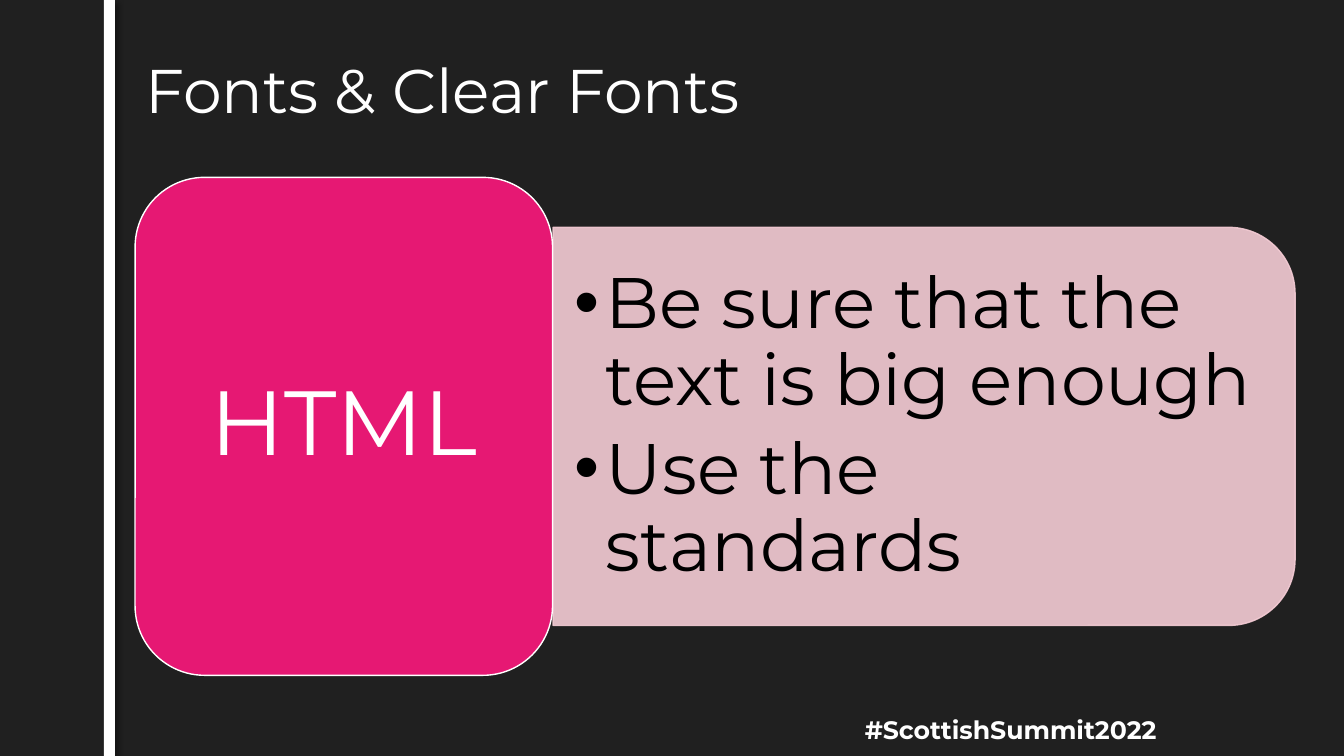
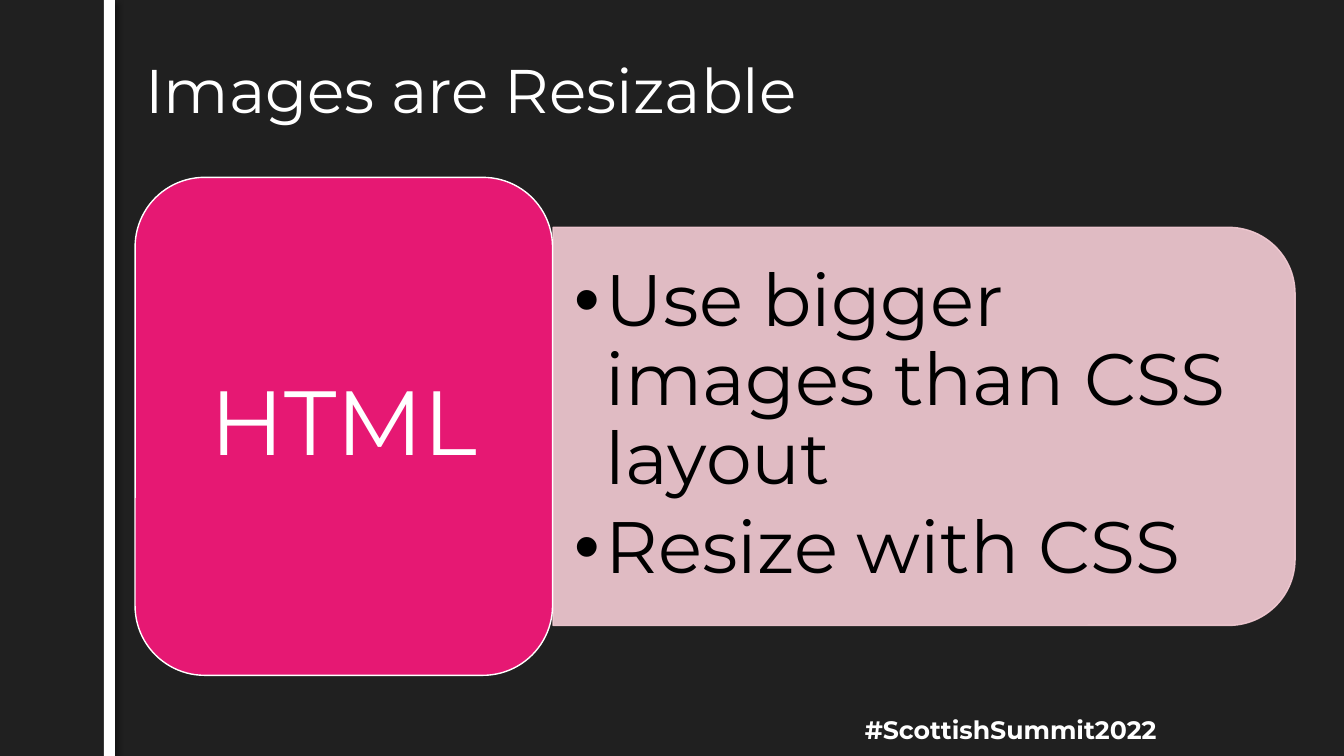
from pptx import Presentation
from pptx.dml.color import RGBColor
from pptx.enum import shapes, text
from pptx.oxml.ns import qn
from pptx.util import Inches, Pt
from lxml import etree

DARK = RGBColor(0x20, 0x20, 0x20)
WHITE = RGBColor(0xFF, 0xFF, 0xFF)
BLACK = RGBColor(0, 0, 0)
PINK = RGBColor(0xE6, 0x18, 0x73)
PALE_PINK = RGBColor(0xF5, 0xCC, 0xD5)

FONT = "Montserrat"
BULLET_FONT = "Arial"
LINE_SPACING = 0.9
HASHTAG = "#ScottishSummit2022"
TITLE_ONLY = 5

SLIDES = [
    ("Fonts & Clear Fonts", "HTML", 51,
     ["Be sure that the text is big enough", "Use the standards"]),
    ("Images are Resizable", "HTML", 52,
     ["Use bigger images than CSS layout", "Resize with CSS"]),
]


def inches(*lengths):
    return [Inches(length) for length in lengths]


def style(p, size, color, align=text.PP_ALIGN.LEFT, bold=False):
    p.alignment = align
    p.line_spacing = LINE_SPACING
    for r in p.runs:
        r.font.name = FONT
        r.font.size = Pt(size)
        r.font.bold = bold
        r.font.color.rgb = color


def set_insets(tf, side, top):
    tf.margin_left = tf.margin_right = Inches(side)
    tf.margin_top = tf.margin_bottom = Inches(top)


def add_box(s, kind, box, fill, line=None):
    sp = s.shapes.add_shape(kind, *inches(*box))
    sp.shadow.inherit = False
    sp.fill.solid()
    sp.fill.fore_color.rgb = fill
    if line is None:
        sp.line.fill.background()
    else:
        sp.line.color.rgb = line
        sp.line.width = Pt(1)
    return sp


def add_alpha(color, percent):
    etree.SubElement(color, qn("a:alpha"), val=str(percent * 1000))


def add_shadow(sp):
    effects = sp._element.spPr.find(qn("a:effectLst"))
    shadow = etree.SubElement(
        effects, qn("a:outerShdw"), blurRad=str(Pt(4)), dist=str(Pt(3)),
        dir=str(45 * 60000), algn="tl", rotWithShape="0")
    color = etree.SubElement(shadow, qn("a:srgbClr"), val=str(BLACK))
    add_alpha(color, 40)


def add_bullet(p, indent):
    pPr = p._p.get_or_add_pPr()
    pPr.set("marL", str(Inches(indent)))
    pPr.set("indent", str(Inches(-indent)))
    etree.SubElement(pPr, qn("a:buFont"), typeface=BULLET_FONT)
    etree.SubElement(pPr, qn("a:buChar"), char="•")


def add_frame(s):
    """Draw the side bar and the hashtag that every slide carries."""
    bar = add_box(s, shapes.MSO_SHAPE.RECTANGLE, (1.03, 0, 0.11, 7.5), WHITE)
    add_shadow(bar)
    tf = s.shapes.add_textbox(*inches(8.21, 7.04, 3.36, 0.4)).text_frame
    tf.word_wrap = True
    tf.text = HASHTAG
    p = tf.paragraphs[0]
    style(p, 18, WHITE, text.PP_ALIGN.RIGHT, bold=True)
    p.line_spacing = 1.0


def set_title(s, title):
    sp = s.shapes.title
    sp.left, sp.top, sp.width, sp.height = inches(1.34, 0.2, 11.5, 1.45)
    tf = sp.text_frame
    tf.text = title
    tf.auto_size = text.MSO_AUTO_SIZE.NONE
    tf.vertical_anchor = text.MSO_ANCHOR.MIDDLE
    style(tf.paragraphs[0], 44, WHITE)


def add_panel(s):
    """Draw the pale panel, turned so that its round corners face right."""
    panel = add_box(s, shapes.MSO_SHAPE.ROUND_2_SAME_RECTANGLE,
                    (7.19, 0.55, 3.95, 7.36), PALE_PINK, PALE_PINK)
    panel.rotation = 90
    for color in panel._element.spPr.iter(qn("a:srgbClr")):
        add_alpha(color, 90)


def add_points(s, points, size):
    tf = s.shapes.add_textbox(*inches(5.48, 2.45, 7.17, 3.57)).text_frame
    tf.word_wrap = True
    tf.vertical_anchor = text.MSO_ANCHOR.MIDDLE
    set_insets(tf, 0.22, 0.11)
    tf.text = "\n".join(points)
    for p in tf.paragraphs:
        p.level = 1
        add_bullet(p, 0.31)
        style(p, size, BLACK)
        p.space_after = Pt(8)


def add_topic(s, topic):
    card = add_box(s, shapes.MSO_SHAPE.ROUNDED_RECTANGLE,
                   (1.34, 1.76, 4.14, 4.94), PINK, WHITE)
    tf = card.text_frame
    tf.word_wrap = True
    tf.vertical_anchor = text.MSO_ANCHOR.MIDDLE
    set_insets(tf, 0.27, 0.14)
    tf.text = topic
    style(tf.paragraphs[0], 65, WHITE, text.PP_ALIGN.CENTER)


def main():
    prs = Presentation()
    prs.slide_width, prs.slide_height = inches(13.33, 7.5)
    background = prs.slide_master.background.fill
    background.solid()
    background.fore_color.rgb = DARK
    for title, topic, size, points in SLIDES:
        s = prs.slides.add_slide(prs.slide_layouts[TITLE_ONLY])
        add_frame(s)
        set_title(s, title)
        add_panel(s)
        add_points(s, points, size)
        add_topic(s, topic)
    prs.save("out.pptx")


if __name__ == "__main__":
    main()
